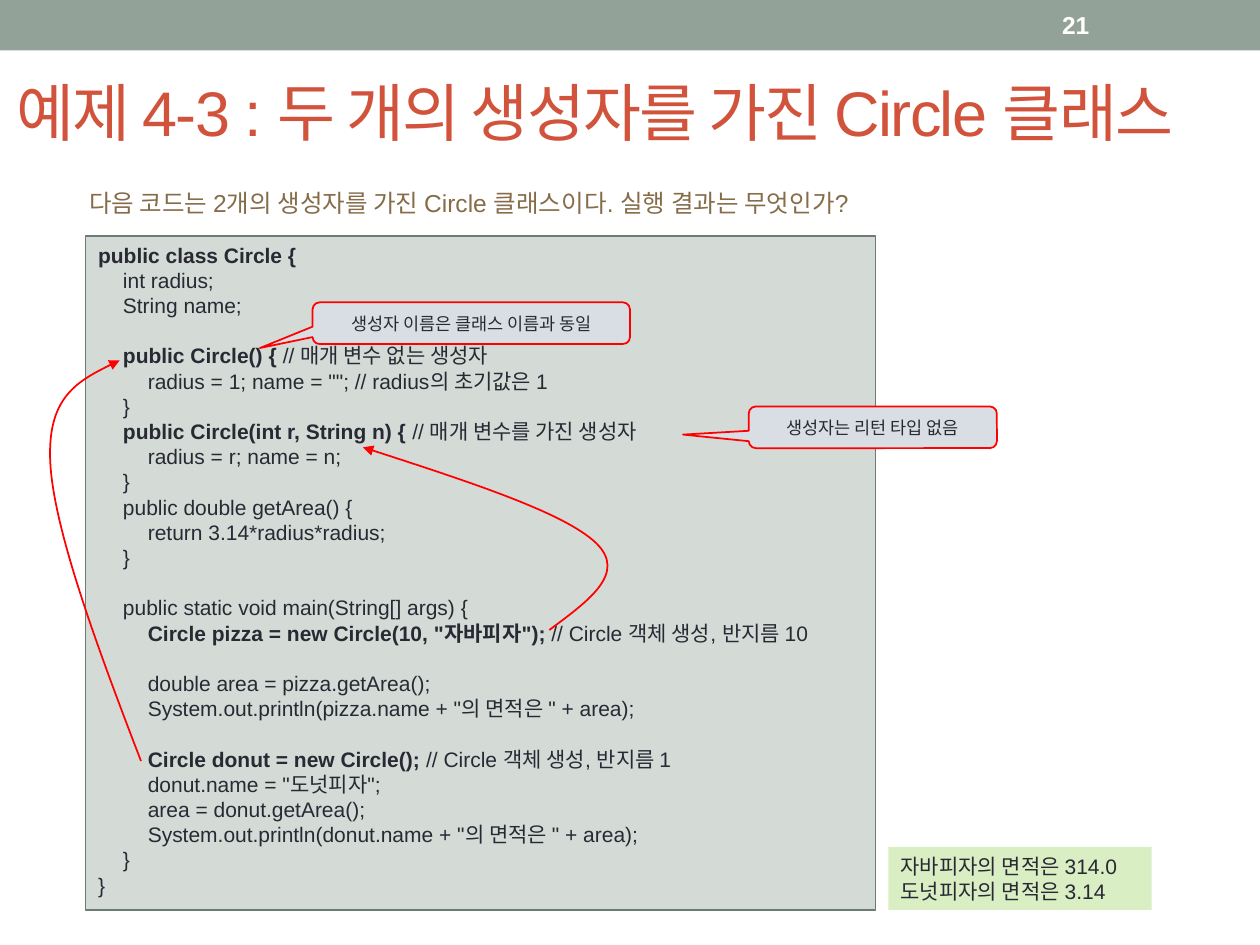
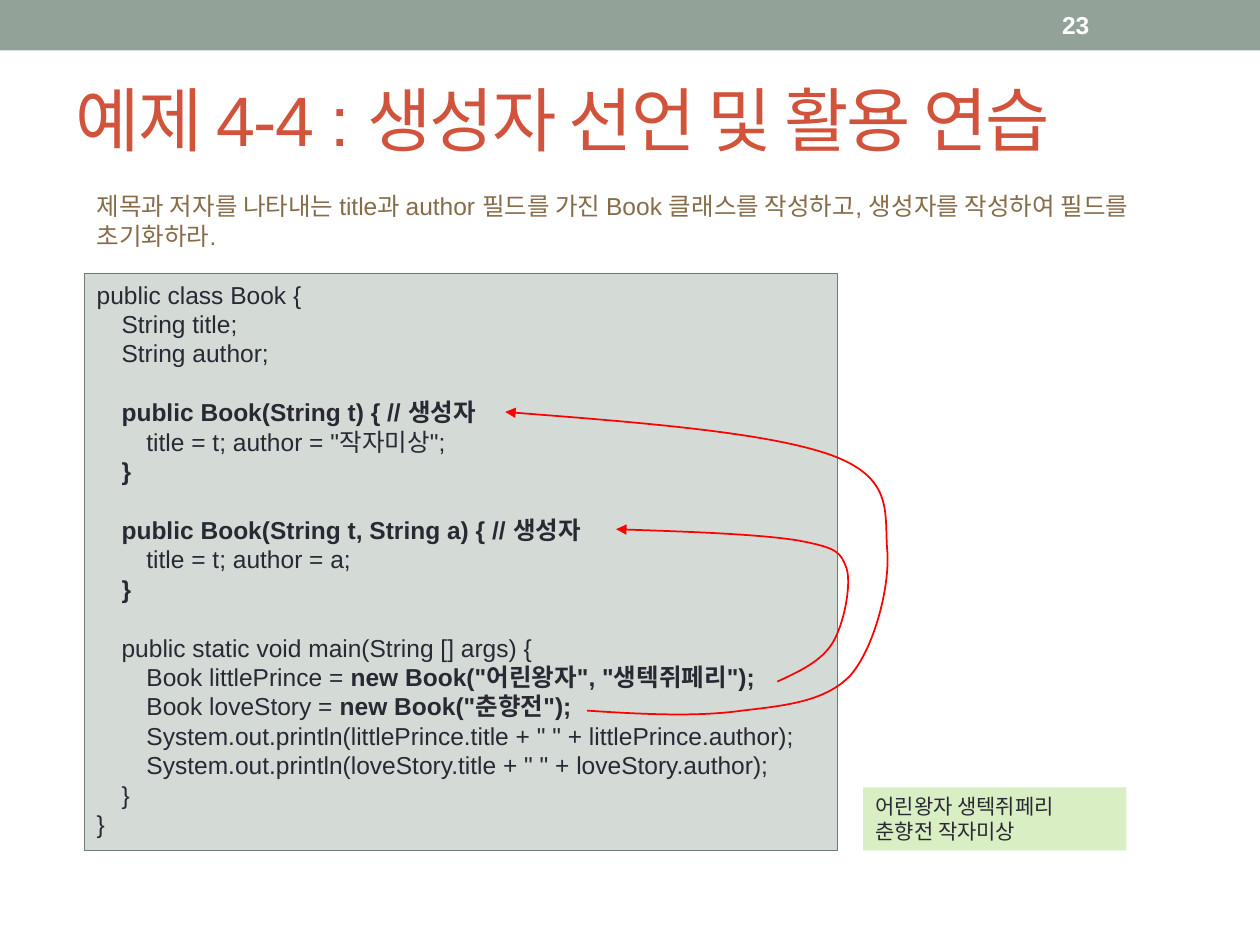
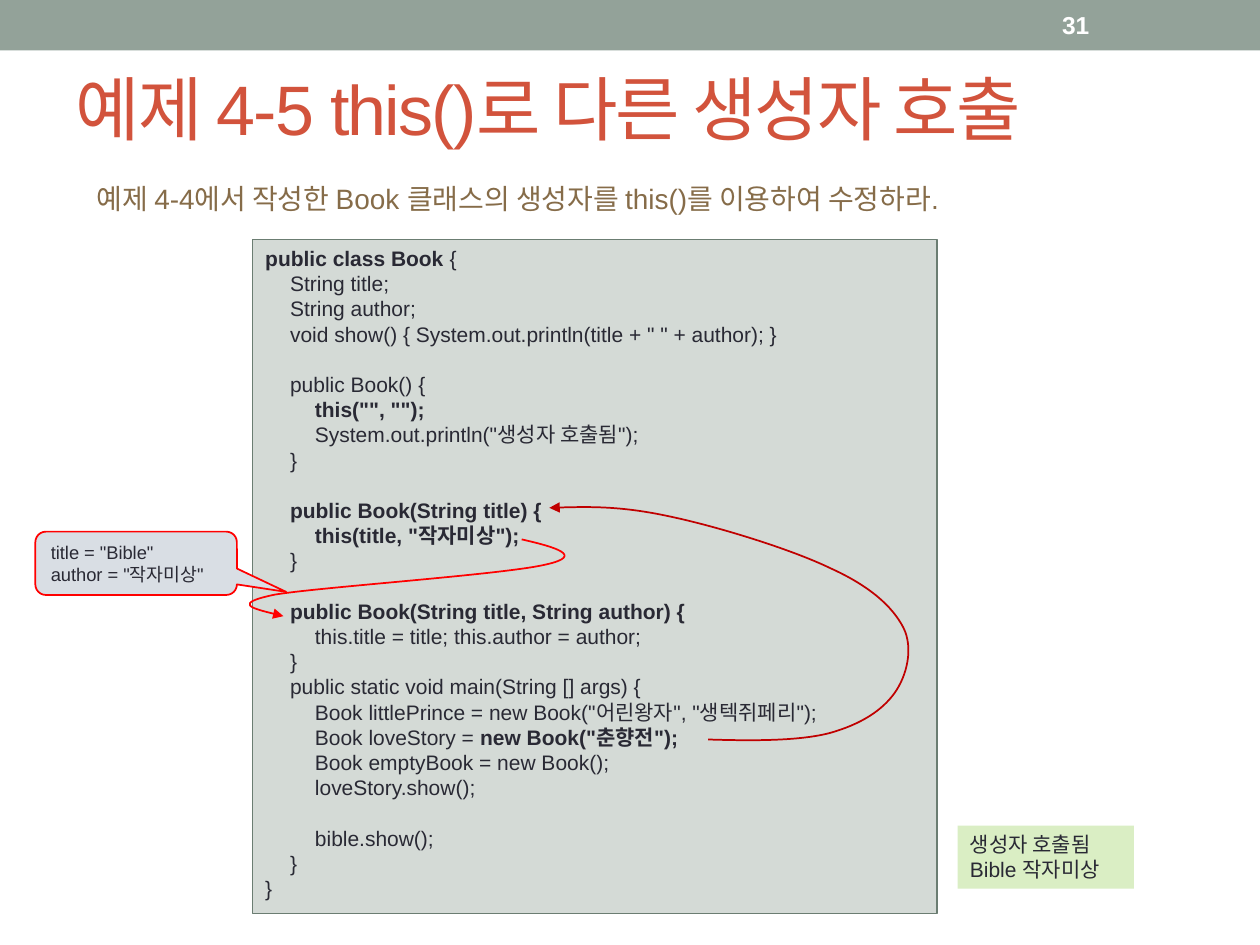
"""Three slides of Java constructor examples with code, callouts and call arrows."""
from dataclasses import dataclass

from lxml.etree import SubElement
from pptx import Presentation
from pptx.dml.color import RGBColor
from pptx.enum.shapes import MSO_SHAPE as Preset
from pptx.enum.text import MSO_ANCHOR as Anchor, MSO_AUTO_SIZE as AutoSize, PP_ALIGN as Align
from pptx.oxml.ns import qn
from pptx.util import Pt


@dataclass(frozen=True)
class Theme:
    font: str = "Arial"
    band: str = "93A299"
    title: str = "D2533C"
    task: str = "866C49"
    text: str = "292934"
    white: str = "FFFFFF"
    code_fill: str = "D4DAD6"
    code_line: str = "6B7D72"
    output_fill: str = "DAEEC4"
    callout_fill: str = "D9DEE4"
    red: str = "FF0000"
    dark_red: str = "C00000"
    number_size: float = 14
    output_size: float = 12
    leading: float = 1.2
    tab: float = 14.2


THEME = Theme()
INDENT = " " * 4
BOLD = "**"

CIRCLE_CODE = '''
**public class Circle {**
    int radius;
    String name;

    **public Circle() {** // 매개 변수 없는 생성자
        radius = 1; name = ""; // radius의 초기값은 1
    }
    **public Circle(int r, String n) { **// 매개 변수를 가진 생성자
        radius = r; name = n;
    }
    public double getArea() {
        return 3.14*radius*radius;
    }

    public static void main(String[] args) {
        **Circle pizza = new Circle(10, "자바피자"); **// Circle 객체 생성, 반지름 10

        double area = pizza.getArea();
        System.out.println(pizza.name + "의 면적은 " + area);

        **Circle donut = new Circle(); **// Circle 객체 생성, 반지름 1
        donut.name = "도넛피자";
        area = donut.getArea();
        System.out.println(donut.name + "의 면적은 " + area);
    }
}
'''

BOOK_CODE = '''
public class Book {
    String title;
    String author;

    **public Book(String t) { // 생성자**
        title = t; author = "작자미상";
    **}**

    **public Book(String t, String a) { // 생성자**
        title = t; author = a;
    **}**

    public static void main(String [] args) {
        Book littlePrince = **new Book("어린왕자", "생텍쥐페리");**
        Book loveStory = **new Book("춘향전");**
        System.out.println(littlePrince.title + " " + littlePrince.author);
        System.out.println(loveStory.title + " " + loveStory.author);
    }
}
'''

THIS_CODE = '''
**public class Book **{
    String title;
    String author;
    void show() { System.out.println(title + " " + author); }

    public Book() {
        **this("", "");**
        System.out.println("생성자 호출됨");
    }

    **public Book(String title) {**
        **this(title, "작자미상");**
    }

    **public Book(String title, String author) {**
        this.title = title; this.author = author;
    }
    public static void main(String [] args) {
        Book littlePrince = new Book("어린왕자", "생텍쥐페리");
        Book loveStory = **new Book("춘향전");**
        Book emptyBook = new Book();
        loveStory.show();

        bible.show();
    }
}
'''

EXAMPLES = [
    dict(
        number="21",
        title=("예제 4-3 : 두 개의 생성자를 가진 Circle 클래스", 36, (2, 24.5, 737.3, 77.8)),
        task=("다음 코드는 2개의 생성자를 가진 Circle 클래스이다. 실행 결과는 무엇인가?",
              14, (43.9, 103.7, 650.9, 24.5)),
        code=(CIRCLE_CODE, 12, (49, 134.8, 451.4, 385.2)),
        output=("자바피자의 면적은 314.0\n도넛피자의 면적은 3.14", (507.6, 484, 150.5, 36)),
        callouts=[
            ("생성자 이름은 클래스 이름과 동일", 10, Align.CENTER,
             (178.6, 172.8, 181.4, 23.8), (-0.666, 0.597, 0.167)),
            ("생성자는 리턴 타입 없음", 10, Align.CENTER,
             (427.9, 232.3, 141.8, 23.8), (-0.765, 0.176, 0.167)),
        ],
        calls=[
            (THEME.red, [(313.9, 360), (336.2, 343.4), (358.6, 327.6), (340.6, 310.3),
                         (322.6, 293), (265, 274.3), (207.4, 255.6)]),
            (THEME.red, [(80.6, 434.9), (55.4, 369.4), (31, 303.1), (28.8, 265),
                         (26.6, 226.8), (47.5, 216), (68.4, 205.9)]),
        ],
    ),
    dict(
        number="23",
        title=("예제 4-4 : 생성자 선언 및 활용 연습", 40, (36, 28.8, 648, 77.8)),
        task=("제목과 저자를 나타내는 title과 author 필드를 가진 Book 클래스를 작성하고, "
              "생성자를 작성하여 필드를 초기화하라.", 14, (48.2, 105.8, 638.6, 41)),
        code=(BOOK_CODE, 14, (48.2, 156.2, 430.6, 329.8)),
        output=("어린왕자 생텍쥐페리\n춘향전 작자미상", (493.2, 450, 150.5, 36)),
        callouts=[],
        calls=[
            (THEME.red, [(444.2, 389.5), (456.5, 383.8), (469.4, 378), (475.9, 367.2),
                         (482.4, 356.4), (486.7, 334.1), (483.8, 324.7),
                         (480.2, 315.4), (478.8, 313.2), (456.5, 308.9),
                         (434.2, 305.3), (393.1, 303.8), (352.1, 302.4)]),
            (THEME.red, [(335.5, 406.1), (367.2, 408.2), (398.9, 409.7), (424.1, 406.1),
                         (448.6, 403.2), (471.6, 401), (486, 385.9),
                         (499.7, 370.1), (509, 334.1), (506.9, 313.2),
                         (505.4, 292.3), (510.5, 272.9), (474.5, 259.9),
                         (437.8, 247), (362.9, 241.2), (288.7, 235.4)]),
        ],
    ),
    dict(
        number="31",
        title=("예제 4-5 this()로 다른 생성자 호출", 40, (36, 22.3, 648, 77.8)),
        task=("예제 4-4에서 작성한 Book 클래스의 생성자를 this()를 이용하여 수정하라.",
              16, (48.2, 100.1, 616.3, 26.6)),
        code=(THIS_CODE, 12, (144.5, 136.8, 391, 385.2)),
        output=("생성자 호출됨\nBible 작자미상", (547.2, 471.8, 100.8, 36)),
        callouts=[
            ('title = "Bible"\nauthor = "작자미상"', 10.5, Align.LEFT,
             (20.2, 303.8, 115.2, 36.2), (0.744, 0.451, 0.167)),
        ],
        calls=[
            (THEME.red, [(298.1, 308.2), (316.8, 312.5), (334.8, 317.5), (311.8, 322.6),
                         (288, 328.3), (182.2, 335.5), (157, 339.8),
                         (132.5, 344.9), (146.9, 348.5), (162, 352.1)]),
            (THEME.dark_red, [(404.6, 422.6), (430.6, 423.4), (456.5, 423.4), (473.8, 419),
                              (491.8, 414), (504, 406.1), (511.2, 396),
                              (518.4, 385.9), (522, 370.1), (516.2, 358.6),
                              (509.8, 346.3), (496.8, 334.8), (474.5, 324.7),
                              (452.2, 313.9), (410.4, 301), (383, 295.2),
                              (356.4, 289.4), (335.5, 289.4), (313.9, 290.2)]),
        ],
    ),
]


def points(lengths):
    return [Pt(length) for length in lengths]


def style(run, size, color, bold=False):
    run.font.name = THEME.font
    run.font.size = Pt(size)
    run.font.bold = bold
    run.font.color.rgb = RGBColor.from_string(color)


def write(shape, text, size, color=THEME.text, bold=False, align=Align.LEFT, anchor=Anchor.TOP):
    frame = shape.text_frame
    frame.word_wrap = True
    frame.auto_size = AutoSize.NONE
    frame.vertical_anchor = anchor
    frame.text = text
    for paragraph in frame.paragraphs:
        paragraph.alignment = align
        paragraph.line_spacing = Pt(size * THEME.leading)
        for run in paragraph.runs:
            style(run, size, color, bold)


def add_panel(slide, place, fill, line=None, width=1, preset=Preset.RECTANGLE):
    panel = slide.shapes.add_shape(preset, *points(place))
    panel.shadow.inherit = False
    panel.fill.solid()
    panel.fill.fore_color.rgb = RGBColor.from_string(fill)
    if line:
        panel.line.color.rgb = RGBColor.from_string(line)
        panel.line.width = Pt(width)
    else:
        panel.line.fill.background()
    return panel


def add_title(slide, text, size, place):
    title = slide.shapes.title
    title.left, title.top, title.width, title.height = points(place)
    write(title, text, size, THEME.title, anchor=Anchor.MIDDLE)
    heading = title.text_frame.paragraphs[0]
    heading.line_spacing = None
    for run in heading.runs:
        run.font._element.set("spc", "-100")


def add_label(slide, text, size, place, **look):
    write(slide.shapes.add_textbox(*points(place)), text, size, **look)


def add_code(slide, code, size, place):
    listing = add_panel(slide, place, THEME.code_fill, THEME.code_line, 0.75)
    write(listing, "", size)
    frame = listing.text_frame
    for index, line in enumerate(code.strip().split("\n")):
        paragraph = frame.add_paragraph() if index else frame.paragraphs[0]
        paragraph.alignment = Align.LEFT
        paragraph.line_spacing = Pt(size * THEME.leading)
        stops = SubElement(paragraph._p.get_or_add_pPr(), qn("a:tabLst"))
        for level in (1, 2):
            SubElement(stops, qn("a:tab"), pos=str(Pt(level * THEME.tab)), algn="l")
        for part, piece in enumerate(line.replace(INDENT, "\t").split(BOLD)):
            if piece:
                run = paragraph.add_run()
                run.text = piece
                style(run, size, THEME.text, bold=part % 2 == 1)
        if not line:
            end = SubElement(paragraph._p, qn("a:endParaRPr"), sz=str(size * 100))
            SubElement(end, qn("a:latin"), typeface=THEME.font)


def add_callout(slide, text, size, align, place, adjustments):
    callout = add_panel(slide, place, THEME.callout_fill, THEME.red,
                        preset=Preset.ROUNDED_RECTANGULAR_CALLOUT)
    for index, value in enumerate(adjustments):
        callout.adjustments[index] = value
    write(callout, text, size, align=align, anchor=Anchor.MIDDLE)


def add_call(slide, color, nodes):
    start, *rest = [points(node) for node in nodes]
    builder = slide.shapes.build_freeform(*start)
    builder.add_line_segments(rest, close=False)
    curve = builder.convert_to_shape()
    outline = curve._element.find(".//" + qn("a:path"))
    segments = outline.findall(qn("a:lnTo"))
    for first in range(0, len(segments), 3):
        bezier = SubElement(outline, qn("a:cubicBezTo"))
        for segment in segments[first:first + 3]:
            bezier.append(segment[0])
            outline.remove(segment)
    curve.shadow.inherit = False
    curve.fill.background()
    curve.line.color.rgb = RGBColor.from_string(color)
    curve.line.width = Pt(1)
    SubElement(curve.line._get_or_add_ln(), qn("a:tailEnd"), type="triangle")


def add_example(deck, example):
    slide = deck.slides.add_slide(deck.slide_layouts.get_by_name("Title Only"))
    add_panel(slide, (0, 0, 720, 28.8), THEME.band)
    add_title(slide, *example["title"])
    add_label(slide, example["number"], THEME.number_size, (599.8, 1.4, 84.2, 25.9),
              color=THEME.white, bold=True, anchor=Anchor.MIDDLE)
    add_label(slide, *example["task"], color=THEME.task)
    add_code(slide, *example["code"])
    result, place = example["output"]
    write(add_panel(slide, place, THEME.output_fill), result, THEME.output_size)
    for callout in example["callouts"]:
        add_callout(slide, *callout)
    for call in example["calls"]:
        add_call(slide, *call)


def main():
    deck = Presentation()
    deck.slide_width, deck.slide_height = Pt(720), Pt(540)
    for example in EXAMPLES:
        add_example(deck, example)
    deck.save("out.pptx")


if __name__ == "__main__":
    main()
